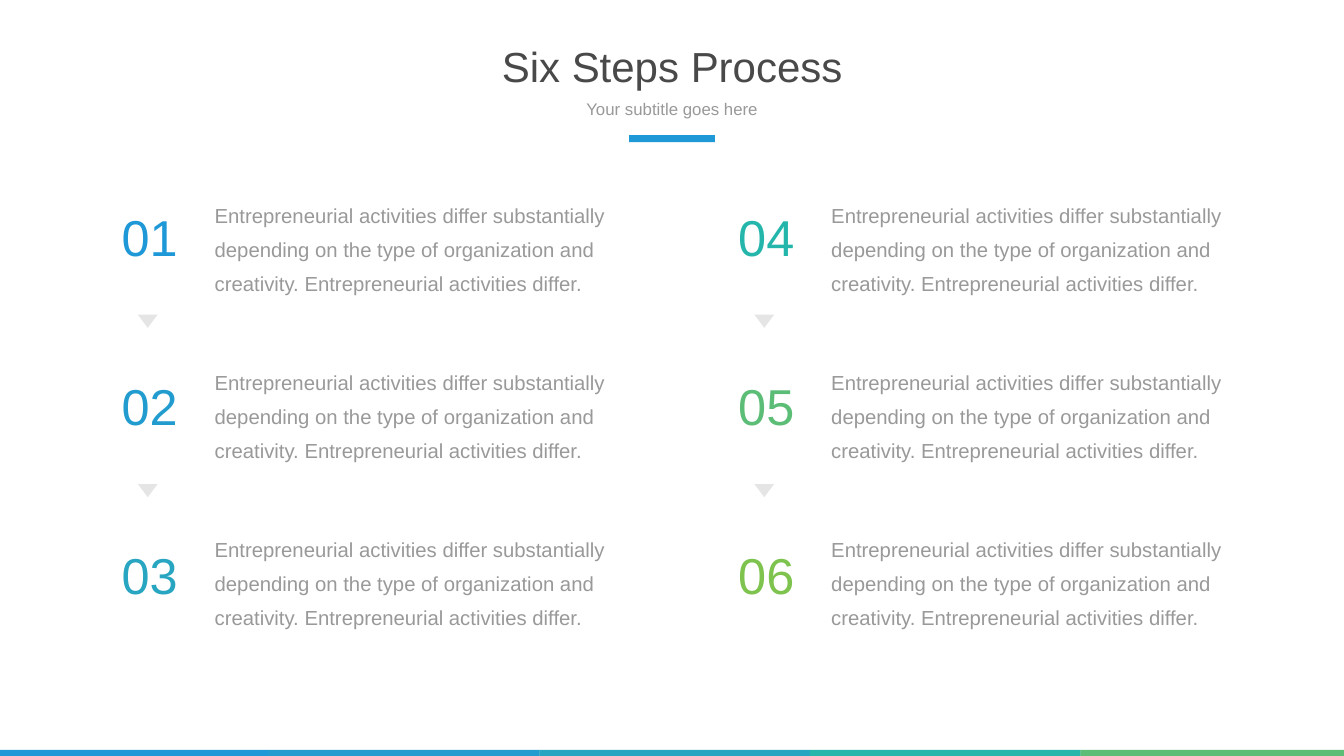
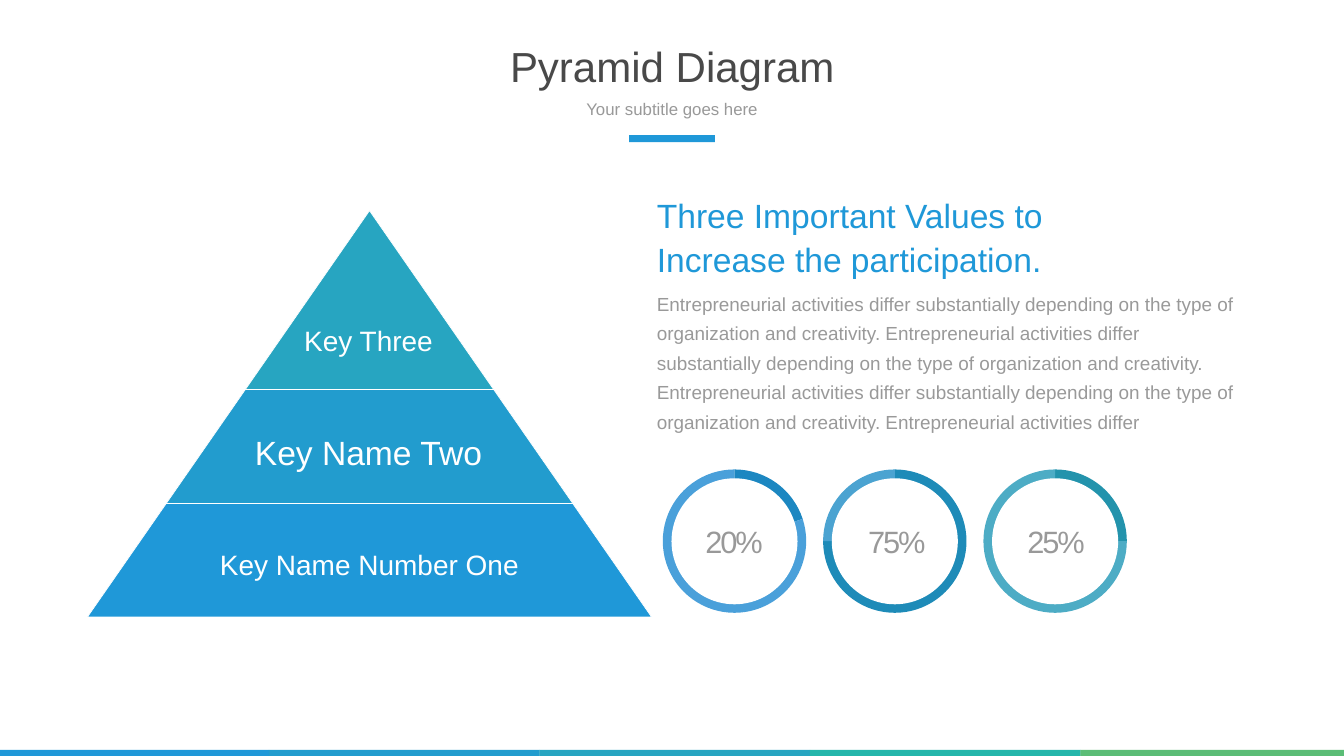
from pptx import Presentation
from pptx import util as u
from pptx.chart.data import CategoryChartData
from pptx.dml.color import RGBColor
from pptx.enum import chart as charts, shapes, text
from pptx.oxml import parse_xml
from pptx.oxml.ns import nsdecls, qn

# Shared look
FONT = "Arial"
BLUE, SKY, CYAN, TEAL, GREEN, LIME = (
    "1F98D8", "229CCE", "27A5C1", "24B6AB", "5BBD76", "7DC34D")
DARK, GREY, PALE, WHITE = "494949", "999999", "E5E5E5", "FFFFFF"
MID = text.MSO_ANCHOR.MIDDLE
CENTER = text.PP_ALIGN.CENTER
RECT = shapes.MSO_SHAPE.RECTANGLE

STEP = ("Entrepreneurial activities differ substantially depending on the "
        "type of organization and creativity. Entrepreneurial activities differ.")
SENTENCE = ("Entrepreneurial activities differ substantially depending on the "
            "type of organization and creativity. ")
BODY = SENTENCE * 3 + "Entrepreneurial activities differ"


def color(code):
    return RGBColor.from_string(code)


def assign(item, values):
    for name, value in values.items():
        setattr(item, name, value)


def paint(item, code):
    item.fill.solid()
    item.fill.fore_color.rgb = color(code)


def add_text(slide, box, lines, size, code, pad=0.05, anchor=None, track=None, **para):
    """Text box with one paragraph per line; para holds paragraph formats."""
    frame = slide.shapes.add_textbox(*map(u.Inches, box)).text_frame
    edges = ("left", "top", "right", "bottom")
    assign(frame, {f"margin_{edge}": u.Inches(pad) for edge in edges})
    assign(frame, {"word_wrap": True, "vertical_anchor": anchor,
                   "auto_size": text.MSO_AUTO_SIZE.SHAPE_TO_FIT_TEXT})
    for i, line in enumerate(lines.split("\n")):
        part = frame.add_paragraph() if i else frame.paragraphs[0]
        assign(part, para)
        run = part.add_run()
        run.text = line
        assign(run.font, {"name": FONT, "size": u.Pt(size)})
        run.font.color.rgb = color(code)
        if track is not None:
            run._r.get_or_add_rPr().set("spc", str(track * 100))


def add_shape(slide, kind, box, code):
    shape = slide.shapes.add_shape(kind, *map(u.Inches, box))
    shape.shadow.inherit = False
    paint(shape, code)
    shape.line.fill.background()
    return shape


def add_bands(slide):
    for i, code in enumerate((BLUE, SKY, CYAN, TEAL, GREEN)):
        add_shape(slide, RECT, (-0.03 + i * 5.365, 14.88, 5.37, 0.2), code)


def add_head(slide, title):
    add_text(slide, (8.17, 0.68, 10.33, 1.24), title, 60, DARK, 0.12, MID,
             alignment=CENTER)
    add_text(slide, (8.21, 1.83, 10.24, 0.64), "Your subtitle goes here", 24, GREY,
             0.12, alignment=CENTER, space_before=u.Pt(5))
    add_shape(slide, RECT, (12.48, 2.68, 1.7, 0.14), BLUE)


def add_arrow(slide, left, top):
    arrow = add_shape(slide, shapes.MSO_SHAPE.RIGHT_ARROW, (left, top, 0.26, 0.39), PALE)
    arrow.rotation = 90
    arrow.adjustments[0] = 0.32
    arrow.adjustments[1] = 1


def add_step(slide, index, code):
    col, row = divmod(index, 3)
    shift = col * 12.23
    add_text(slide, (1.77 + shift, 4.09 + row * 3.35, 2.4, 1.21), f"{index + 1:02}",
             72, code, 0, MID, alignment=CENTER)
    add_text(slide, (4.16 + shift, 3.73 + row * 3.32, 8.27, 2.17), STEP, 29, GREY,
             0.1, line_spacing=1.4, space_before=u.Pt(20))
    if row < 2:
        add_arrow(slide, 2.8 + shift, 6.18 + row * 3.36)


def add_tier(slide, top, base, code):
    """Slice of the pyramid between two heights."""
    mid, peak, slope = 7.33, 4.18, 0.694
    a, b = (slope * (y - peak) for y in (top, base))
    spots = [(mid - a, top), (mid + a, top), (mid + b, base), (mid - b, base)]
    spots = list(dict.fromkeys((u.Inches(x), u.Inches(y)) for x, y in spots))
    pen = slide.shapes.build_freeform(*spots[0], scale=1.0)
    pen.add_line_segments(spots[1:], close=True)
    tier = pen.convert_to_shape()
    tier.shadow.inherit = False
    paint(tier, code)
    tier.line.color.rgb = color(WHITE)
    tier.line.width = u.Pt(1)


def set_plot(chart):
    """Let the pie fill its frame."""
    plot = chart._chartSpace.chart.plotArea
    for old in plot.findall(qn("c:layout")):
        plot.remove(old)
    sizes = {"x": 0.005, "y": 0.005, "w": 0.99, "h": 0.988}
    modes = '<c:xMode val="edge"/><c:yMode val="edge"/>'
    rest = "".join(f'<c:{key} val="{val}"/>' for key, val in sizes.items())
    plot.insert(0, parse_xml(
        f'<c:layout {nsdecls("c")}><c:manualLayout><c:layoutTarget val="inner"/>'
        f"{modes}{rest}</c:manualLayout></c:layout>"))


def add_pie(slide, left, share, codes):
    data = CategoryChartData()
    data.categories = ["1", "2"]
    data.add_series("Series 1", (share, 100 - share))
    box = map(u.Inches, (left, 9.3, 2.88, 2.88))
    chart = slide.shapes.add_chart(charts.XL_CHART_TYPE.PIE, *box, data).chart
    assign(chart, {"has_legend": False, "has_title": False})
    assign(chart.font, {"name": FONT, "size": u.Pt(10)})
    chart.font.color.rgb = color(GREY)
    chart.plots[0].vary_by_categories = False
    series = chart.plots[0].series[0]
    paint(series.format, codes[0])
    for i, code in enumerate(codes):
        paint(series.points[i].format, code)
    set_plot(chart)


def add_steps(slide):
    for i, code in enumerate((BLUE, SKY, CYAN, TEAL, GREEN, LIME)):
        add_step(slide, i, code)


def add_rings(slide):
    rings = [(20, 13.5, ("1C87C1", "4AA0DA")),
             (75, 16.73, ("1E8BB8", "4BA3D1")),
             (25, 19.89, ("2393AC", "4DACC5"))]
    for i, (share, left, codes) in enumerate(rings):
        edge = 13.13 + i * 3.18
        add_pie(slide, edge, share, codes)
        add_shape(slide, shapes.MSO_SHAPE.OVAL, (edge + 0.19, 9.49, 2.5, 2.5), WHITE)
        add_text(slide, (left, 10.24, 2.12, 1), f"{share}%", 44, GREY, 0.13, MID,
                 track=-3, alignment=CENTER)


def add_pyramid(slide):
    tiers = [(4.18, 7.73, CYAN, "Key Three", 40, (5.25, 6.31, 4.12, 0.78)),
             (7.73, 9.99, SKY, "Key Name Two", 48, (4.82, 8.44, 4.98, 0.92)),
             (9.99, 12.24, BLUE, "Key Name Number One", 40, (3.68, 10.74, 7.29, 0.78))]
    for top, base, code, label, size, box in tiers:
        add_tier(slide, top, base, code)
        add_text(slide, box, label, size, WHITE, alignment=CENTER, line_spacing=1.1)


def add_story(slide):
    add_text(slide, (12.98, 5.63, 11.66, 2.99), BODY, 27, GREY, anchor=MID,
             line_spacing=1.3)
    add_text(slide, (12.98, 3.74, 11.75, 1.81),
             "Three Important Values to\nIncrease the participation.", 48, BLUE,
             line_spacing=1.1)


def main():
    deck = Presentation()
    assign(deck, {"slide_width": u.Inches(26.66), "slide_height": u.Inches(15)})
    pages = [("Six Steps Process", (add_steps,)),
             ("Pyramid Diagram", (add_rings, add_pyramid, add_story))]
    for title, parts in pages:
        slide = deck.slides.add_slide(deck.slide_layouts[6])
        add_bands(slide)
        for part in parts:
            part(slide)
        add_head(slide, title)
    deck.save("out.pptx")


if __name__ == "__main__":
    main()
